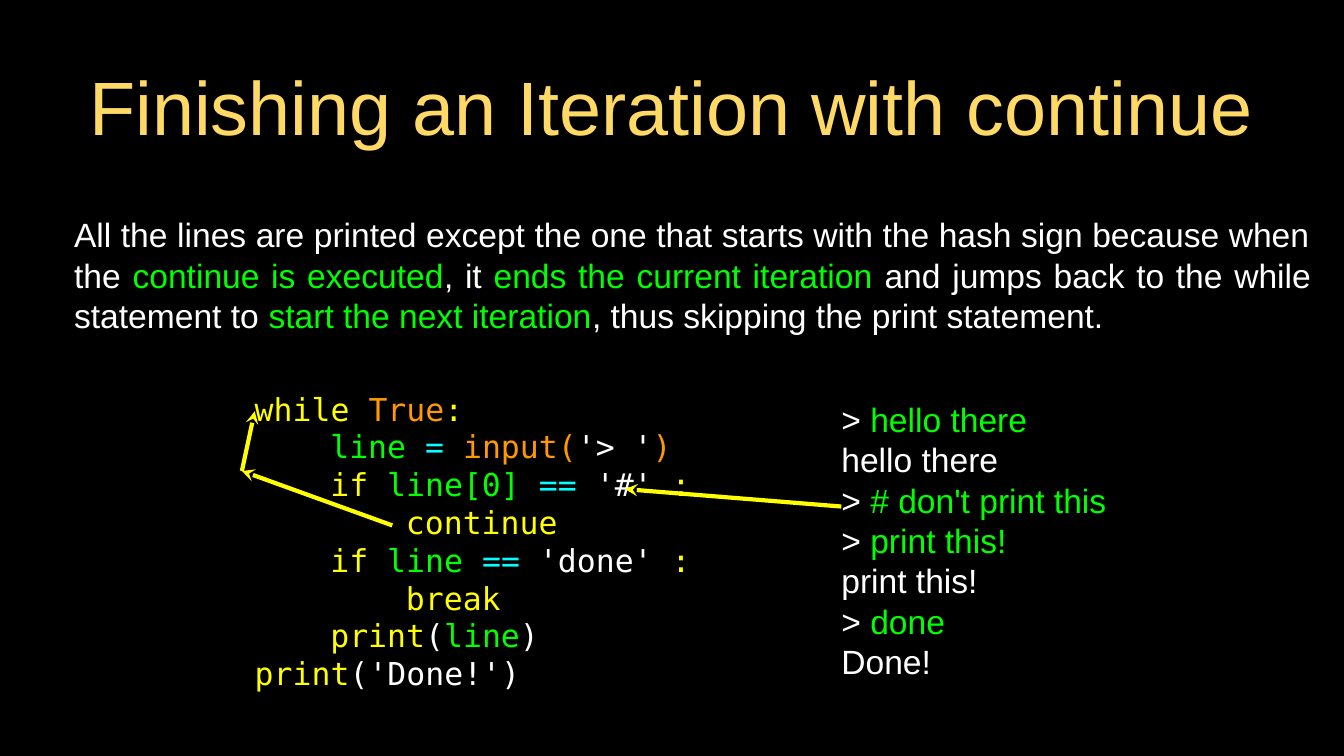
from pptx import Presentation as Deck
from pptx.dml.color import RGBColor as Rgb
from pptx.enum.shapes import MSO_CONNECTOR as Conn
from pptx.enum.text import MSO_ANCHOR as Anchor, PP_ALIGN as Align
from pptx.oxml.ns import qn
from pptx.util import Inches, Pt
from lxml.etree import SubElement as Sub

HUE = {
    "black": "000000", "gold": "FFD966", "white": "FFFFFF", "green": "00FF00",
    "yellow": "FFFF00", "orange": "FF9900", "cyan": "00FFFF",
}

TITLE = [(0, [("gold", "Finishing an Iteration with continue")])]

BODY = [(0, [
    ("white", "All the lines are printed except the one that starts with the "
              "hash sign because when the "),
    ("green", "continue is executed"),
    ("white", ", it "),
    ("green", "ends the current iteration"),
    ("white", " and jumps back to the while statement to "),
    ("green", "start the next iteration"),
    ("white", ", thus skipping the print statement."),
])]

CODE = [
    (0, [("yellow", "while "), ("orange", "True"), ("yellow", ":")]),
    (1, [("green", "line "), ("cyan", "= "), ("orange", "input("),
         ("white", "'> '"), ("orange", ")")]),
    (1, [("yellow", "if"), ("green", " line[0] "), ("cyan", "== "),
         ("white", "'#' "), ("yellow", ":")]),
    (2, [("yellow", "continue")]),
    (1, [("yellow", "if "), ("green", "line "), ("cyan", "== "),
         ("white", "'done' "), ("yellow", ":")]),
    (2, [("yellow", "break")]),
    (1, [("yellow", "print"), ("white", "("), ("green", "line"),
         ("white", ")")]),
    (0, [("yellow", "print"), ("white", "('Done!')")]),
]

OUTPUT = [
    (0, [("white", "> "), ("green", "hello there")]),
    (0, [("white", "hello there")]),
    (0, [("white", "> "), ("green", "# don't print this")]),
    (0, [("white", "> "), ("green", "print this!")]),
    (0, [("white", "print this!")]),
    (0, [("white", "> "), ("green", "done")]),
    (0, [("white", "Done!")]),
]

ARROWS = [
    ((3.2, 6.23), (3.37, 5.44)),
    ((5.19, 6.95), (3.2, 6.23)),
    ((11.13, 6.7), (8.27, 6.47)),
]


def apply(item, form):
    for name, value in form.items():
        setattr(item, name, value)


def color(name):
    return Rgb.from_string(HUE[name])


def add_text(slide, box, lines, font, size, align=Align.LEFT, inset=0):
    frame = slide.shapes.add_textbox(*map(Inches, box)).text_frame
    sides = ("left", "top", "right", "bottom")
    apply(frame, {f"margin_{side}": Inches(inset) for side in sides})
    apply(frame, {"word_wrap": True, "vertical_anchor": Anchor.MIDDLE})
    for row, (level, runs) in enumerate(lines):
        para = frame.add_paragraph() if row else frame.paragraphs[0]
        apply(para, {"alignment": align, "line_spacing": Pt(1.2 * size)})
        if level:
            para._p.get_or_add_pPr().set("marL", str(Inches(level)))
        for hue, words in runs:
            run = para.add_run()
            run.text = words
            apply(run.font, {"name": font, "size": Pt(size)})
            run.font.color.rgb = color(hue)


def add_arrow(slide, start, tip):
    ends = map(Inches, (*tip, *start))
    arrow = slide.shapes.add_connector(Conn.STRAIGHT, *ends)
    arrow.line.color.rgb = color("yellow")
    arrow.line.width = Pt(4)
    Sub(arrow.line._get_or_add_ln(), qn("a:headEnd"), type="stealth")
    Sub(arrow._element.spPr, qn("a:effectLst"))


def main():
    deck = Deck()
    apply(deck, {"slide_width": Inches(17.78), "slide_height": Inches(10)})
    slide = deck.slides.add_slide(deck.slide_layouts[6])
    slide.background.fill.solid()
    slide.background.fill.fore_color.rgb = color("black")
    add_text(slide, (0.37, 0.45, 17.02, 1.88), TITLE, "Arial", 72,
             Align.CENTER, 0.04)
    add_text(slide, (0.94, 2.33, 16.45, 2.61), BODY, "Arial", 32,
             Align.JUSTIFY, 0.04)
    add_text(slide, (3.37, 4.92, 7.11, 4.47), CODE, "DejaVu Sans Mono", 30)
    add_text(slide, (11.13, 5.13, 4.92, 4.03), OUTPUT, "Arial", 32)
    for start, tip in ARROWS:
        add_arrow(slide, start, tip)
    deck.save("out.pptx")


main()
